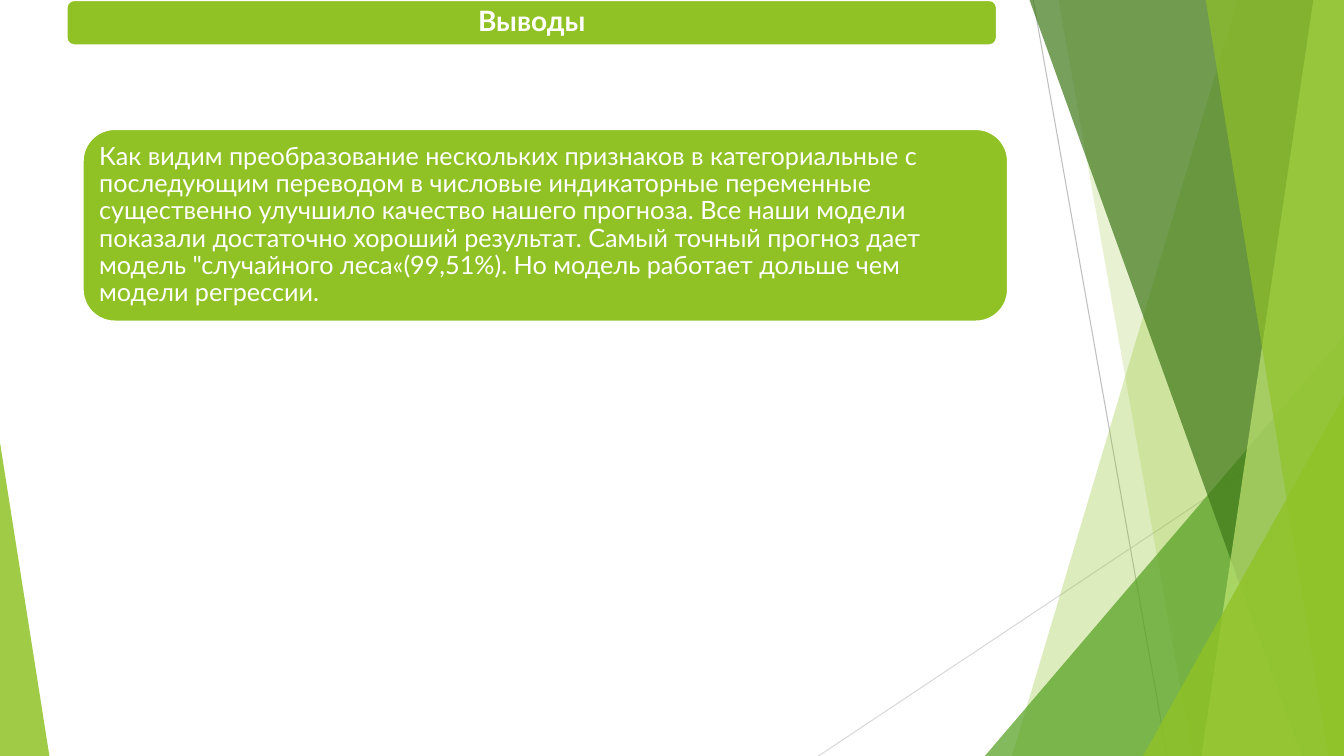
from dataclasses import dataclass

from lxml import etree
from pptx import Presentation
from pptx.dml.color import RGBColor
from pptx.enum.shapes import MSO_CONNECTOR, MSO_SHAPE
from pptx.enum.text import MSO_ANCHOR, PP_ALIGN
from pptx.oxml.ns import qn
from pptx.util import Inches, Pt

STRAIGHT = MSO_CONNECTOR.STRAIGHT
TRIANGLE = MSO_SHAPE.ISOSCELES_TRIANGLE
ROUNDED = MSO_SHAPE.ROUNDED_RECTANGLE
MIDDLE = MSO_ANCHOR.MIDDLE
LEFT, CENTER = PP_ALIGN.LEFT, PP_ALIGN.CENTER

WIDTH, HEIGHT = Inches(13.333), Inches(7.5)
FONT = "Lato"
GREEN, WHITE = "90C226", "FFFFFF"
BAND_TOP = -0.11


# All positions and sizes are percentages of the slide's width or height.
@dataclass
class Line:
    x1: float
    y1: float
    x2: float
    y2: float
    colour: str


@dataclass
class Band:
    """Slanted left edge, reaching to the slide's right edge."""
    top_left: float
    bottom_left: float
    colour: str
    opacity: int


@dataclass
class Wedge:
    """Right triangle standing on the slide's bottom edge."""
    left: float
    top: float
    width: float
    apex: float
    colour: str
    opacity: int


@dataclass
class Panel:
    left: float
    top: float
    width: float
    height: float
    text: str
    size: int
    bold: bool
    alignment: PP_ALIGN
    inset: float


LINES = [
    Line(76.88, 0, 86.85, 100, "BFBFBF"),
    Line(100, 53.73, 60.9, 100, "D9D9D9"),
]
FACETS = [
    Band(92.1, 75.3, GREEN, 30),
    Band(78.75, 88.73, GREEN, 20),
    Wedge(73.28, 44.4, 26.72, 1, "54A021", 72),
    Band(76.58, 96.83, "3F7819", 70),
    Band(97.73, 89.4, "C0E474", 70),
    Band(89.7, 98.85, GREEN, 65),
    Wedge(85.05, 52.4, 14.95, 1, GREEN, 80),
    Wedge(0, 58.53, 3.68, 0, GREEN, 85),
]
PANELS = [
    Panel(4.95, 0, 69.23, 6, "Выводы", 20, True, CENTER, 0.08),
    Panel(
        6.15, 17.07, 68.85, 25.47,
        "Как видим преобразование нескольких признаков в категориальные с "
        "последующим переводом в числовые индикаторные переменные существенно "
        "улучшило качество нашего прогноза. Все наши модели показали достаточно "
        "хороший результат. Самый точный прогноз дает модель \"случайного "
        "леса«(99,51%). Но модель работает дольше чем модели регрессии.",
        18, False, LEFT, 0.07,
    ),
]


def across(share: float) -> int:
    return round(WIDTH * share / 100)


def down(share: float) -> int:
    return round(HEIGHT * share / 100)


def rgb(colour: str) -> RGBColor:
    return RGBColor.from_string(colour)


def fill_shape(shape, colour: str, opacity: int = 100) -> None:
    shape.shadow.inherit = False
    shape.fill.solid()
    shape.fill.fore_color.rgb = rgb(colour)
    if opacity < 100:
        colour_element = shape.fill._xPr.find(qn("a:solidFill"))[0]
        etree.SubElement(colour_element, qn("a:alpha"), val=str(opacity * 1000))


def draw_line(slide, line: Line) -> None:
    connector = slide.shapes.add_connector(
        STRAIGHT, across(line.x1), down(line.y1), across(line.x2), down(line.y2))
    connector.line.color.rgb = rgb(line.colour)
    connector.line.width = Pt(0.75)
    etree.SubElement(connector._element.spPr, qn("a:effectLst"))


def draw_band(slide, band: Band) -> None:
    builder = slide.shapes.build_freeform(across(band.top_left), down(BAND_TOP))
    builder.add_line_segments([
        (across(100), down(BAND_TOP)),
        (across(100), down(100)),
        (across(band.bottom_left), down(100)),
    ])
    shape = builder.convert_to_shape()
    fill_shape(shape, band.colour, band.opacity)
    shape.line.fill.background()


def draw_wedge(slide, wedge: Wedge) -> None:
    shape = slide.shapes.add_shape(
        TRIANGLE, across(wedge.left), down(wedge.top),
        across(wedge.width), down(100 - wedge.top))
    shape.adjustments[0] = wedge.apex
    fill_shape(shape, wedge.colour, wedge.opacity)
    shape.line.fill.background()


def draw_panel(slide, panel: Panel) -> None:
    shape = slide.shapes.add_shape(
        ROUNDED, across(panel.left), down(panel.top),
        across(panel.width), down(panel.height))
    fill_shape(shape, GREEN)
    shape.line.color.rgb = rgb(WHITE)
    shape.line.width = Pt(1.5)

    frame = shape.text_frame
    frame.word_wrap = True
    frame.vertical_anchor = MIDDLE
    frame.margin_left = frame.margin_right = Inches(panel.inset)
    frame.margin_top = frame.margin_bottom = Inches(panel.inset)
    paragraph = frame.paragraphs[0]
    paragraph.text = panel.text
    paragraph.alignment = panel.alignment
    paragraph.line_spacing = 0.9
    paragraph.font.name = FONT
    paragraph.font.size = Pt(panel.size)
    paragraph.font.bold = panel.bold
    paragraph.font.color.rgb = rgb(WHITE)


def main() -> None:
    presentation = Presentation()
    presentation.slide_width, presentation.slide_height = WIDTH, HEIGHT
    slide = presentation.slides.add_slide(presentation.slide_layouts[6])

    # Background decoration, from back to front
    for line in LINES:
        draw_line(slide, line)
    for facet in FACETS:
        if isinstance(facet, Band):
            draw_band(slide, facet)
        else:
            draw_wedge(slide, facet)

    # Title and conclusion
    for panel in PANELS:
        draw_panel(slide, panel)

    presentation.save("out.pptx")


if __name__ == "__main__":
    main()
